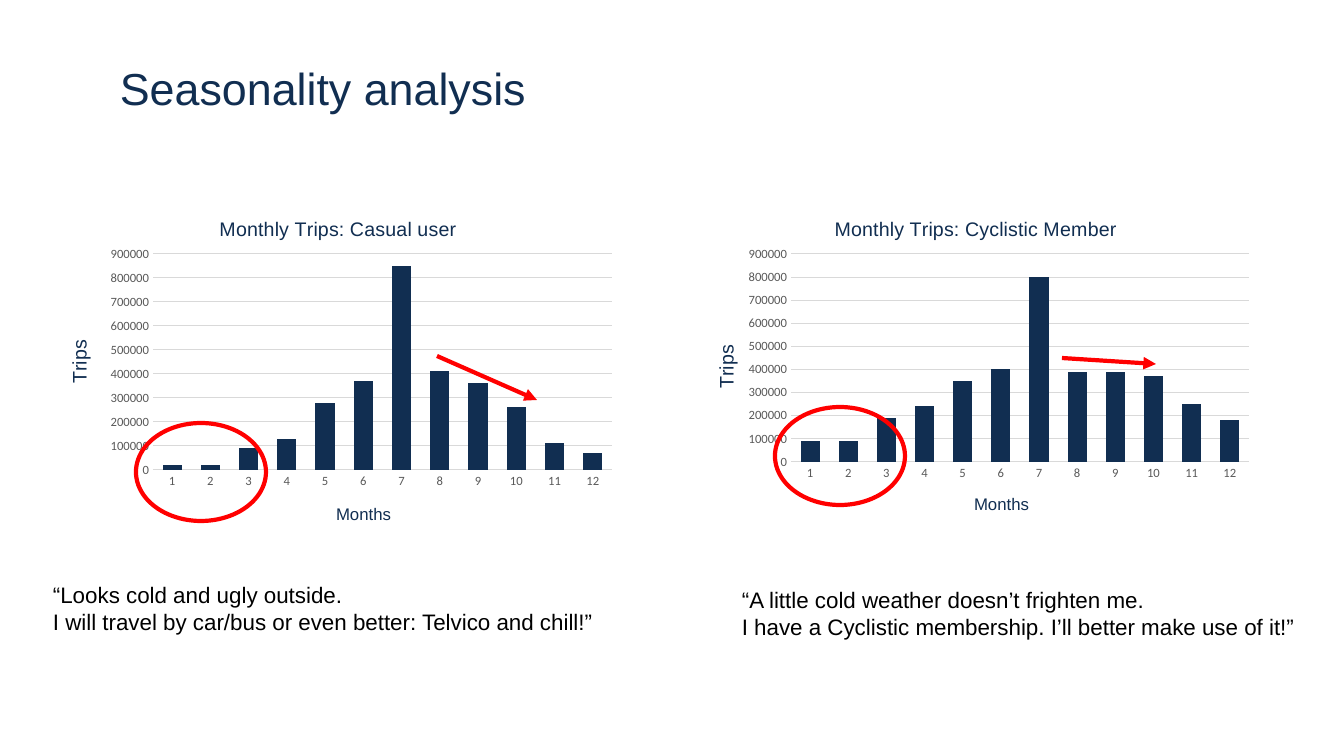
from lxml import etree
from pptx import Presentation
from pptx.chart.data import CategoryChartData
from pptx.dml.color import RGBColor
from pptx.enum.chart import XL_CHART_TYPE, XL_TICK_MARK
from pptx.enum.shapes import MSO_CONNECTOR, MSO_SHAPE
from pptx.oxml.ns import qn
from pptx.util import Emu, Pt

COLUMNS = XL_CHART_TYPE.COLUMN_CLUSTERED
NO_TICK = XL_TICK_MARK.NONE
STRAIGHT = MSO_CONNECTOR.STRAIGHT
OVAL = MSO_SHAPE.OVAL

PIXEL = 914400 / 100.8
SLIDE_SIZE = (1344, 756)
COLORS = {"navy": "112E51", "red": "FF0000", "black": "000000",
          "gray": "595959", "grid": "D9D9D9"}
HEADING = ("Seasonality analysis", (110, 56, 536, 65))
OVAL_SIZE = (130, 98)
TOP_TRIPS, TRIPS_STEP = 900000, 100000

PANELS = [
    {
        "title": "Monthly Trips: Casual user",
        "trips": [20000, 20000, 90000, 130000, 280000, 370000,
                  850000, 410000, 360000, 260000, 110000, 70000],
        "chart": (47, 196, 576, 346),
        "plot": (153, 254, 459, 216),
        "titles": {"chart": (216, 213), "months": (333, 501), "trips": (63, 336)},
        "oval": (136, 423),
        "arrow": (437, 356, 537, 400),
        "quote": ["“Looks cold and ugly outside.",
                  "I will travel by car/bus or even better: Telvico and chill!”"],
        "quote_box": (43, 576, 561, 65),
    },
    {
        "title": "Monthly Trips: Cyclistic Member",
        "trips": [90000, 90000, 190000, 240000, 350000, 400000,
                  800000, 390000, 390000, 370000, 250000, 180000],
        "chart": (685, 196, 576, 336),
        "plot": (791, 254, 458, 208),
        "titles": {"chart": (831, 213), "months": (971, 491), "trips": (710, 341)},
        "oval": (775, 407),
        "arrow": (1062, 358, 1156, 364),
        "quote": ["“A little cold weather doesn’t frighten me.",
                  "I have a Cyclistic membership. I’ll better make use of it!”"],
        "quote_box": (732, 581, 581, 65),
    },
]


def emu(*pixels):
    return [Emu(round(value * PIXEL)) for value in pixels]


def color(name):
    return RGBColor.from_string(COLORS[name])


def style_font(font, size, name, family="Arial"):
    font.size, font.name, font.bold = Pt(size), family, False
    font.color.rgb = color(name)


def style_line(line, name, width):
    line.color.rgb = color(name)
    line.width = Pt(width)


def place(element, frame, area):
    layout = element.find(qn("c:layout"))
    if layout is None:
        layout = etree.Element(qn("c:layout"))
        element.insert(0, layout)
    manual = etree.SubElement(layout, qn("c:manualLayout"))
    left, top, width, height = frame
    settings = {"xMode": "edge", "yMode": "edge",
                "x": (area[0] - left) / width, "y": (area[1] - top) / height}
    if len(area) == 4:
        target = etree.Element(qn("c:layoutTarget"), val="inner")
        manual.append(target)
        settings.update(w=area[2] / width, h=area[3] / height)
    for tag, value in settings.items():
        etree.SubElement(manual, qn("c:" + tag), val=str(value))


def add_title(title, text, size, frame, corner):
    para = title.text_frame.paragraphs[0]
    para.text = text
    style_font(para.font, size, "navy")
    place(title._element, frame, corner)


def add_trip_chart(panel):
    data = CategoryChartData()
    data.categories = [str(month) for month in range(1, 13)]
    data.add_series("Trips", panel["trips"])
    frame = panel["chart"]
    chart = page.shapes.add_chart(COLUMNS, *emu(*frame), data).chart
    chart.has_legend = False
    style_font(chart.font, 10, "black", "Calibri")
    chart.has_title = True
    months, trips = chart.category_axis, chart.value_axis
    corners = panel["titles"]
    add_title(chart.chart_title, panel["title"], 14, frame, corners["chart"])
    add_title(months.axis_title, "Months", 12, frame, corners["months"])
    add_title(trips.axis_title, "Trips", 14, frame, corners["trips"])
    body = trips.axis_title.text_frame._txBody.find(qn("a:bodyPr"))
    body.set("rot", "-5400000")
    body.set("vert", "horz")
    for axis in (months, trips):
        axis.major_tick_mark = axis.minor_tick_mark = NO_TICK
        style_font(axis.tick_labels.font, 9, "gray", "Calibri")
    style_line(months.format.line, "grid", 0.75)
    trips.format.line.fill.background()
    style_line(trips.major_gridlines.format.line, "grid", 0.75)
    trips.minimum_scale, trips.maximum_scale = 0, TOP_TRIPS
    trips.major_unit = TRIPS_STEP
    plot = chart.plots[0]
    plot.gap_width, plot.overlap, plot.vary_by_categories = 100, -27, False
    fill = plot.series[0].format.fill
    fill.solid()
    fill.fore_color.rgb = color("navy")
    place(chart._chartSpace.find(".//" + qn("c:plotArea")), frame, panel["plot"])


def add_text(lines, area, size, name, wrap):
    frame = page.shapes.add_textbox(*emu(*area)).text_frame
    frame.word_wrap = wrap
    frame.text = "\n".join(lines)
    for para in frame.paragraphs:
        style_font(para.font, size, name)


def add_marks(panel):
    oval = page.shapes.add_shape(OVAL, *emu(*panel["oval"], *OVAL_SIZE))
    oval.shadow.inherit = False
    oval.fill.background()
    style_line(oval.line, "red", 3)
    arrow = page.shapes.add_connector(STRAIGHT, *emu(*panel["arrow"]))
    style_line(arrow.line, "red", 3)
    etree.SubElement(arrow.line._get_or_add_ln(), qn("a:tailEnd"), type="triangle")
    etree.SubElement(arrow._element.spPr, qn("a:effectLst"))


deck = Presentation()
deck.slide_width, deck.slide_height = emu(*SLIDE_SIZE)
page = deck.slides.add_slide(deck.slide_layouts[6])
heading, heading_box = HEADING
add_text([heading], heading_box, 32, "navy", True)
for panel in PANELS:
    add_trip_chart(panel)
    add_marks(panel)
    add_text(panel["quote"], panel["quote_box"], 16, "black", False)
deck.save("out.pptx")
